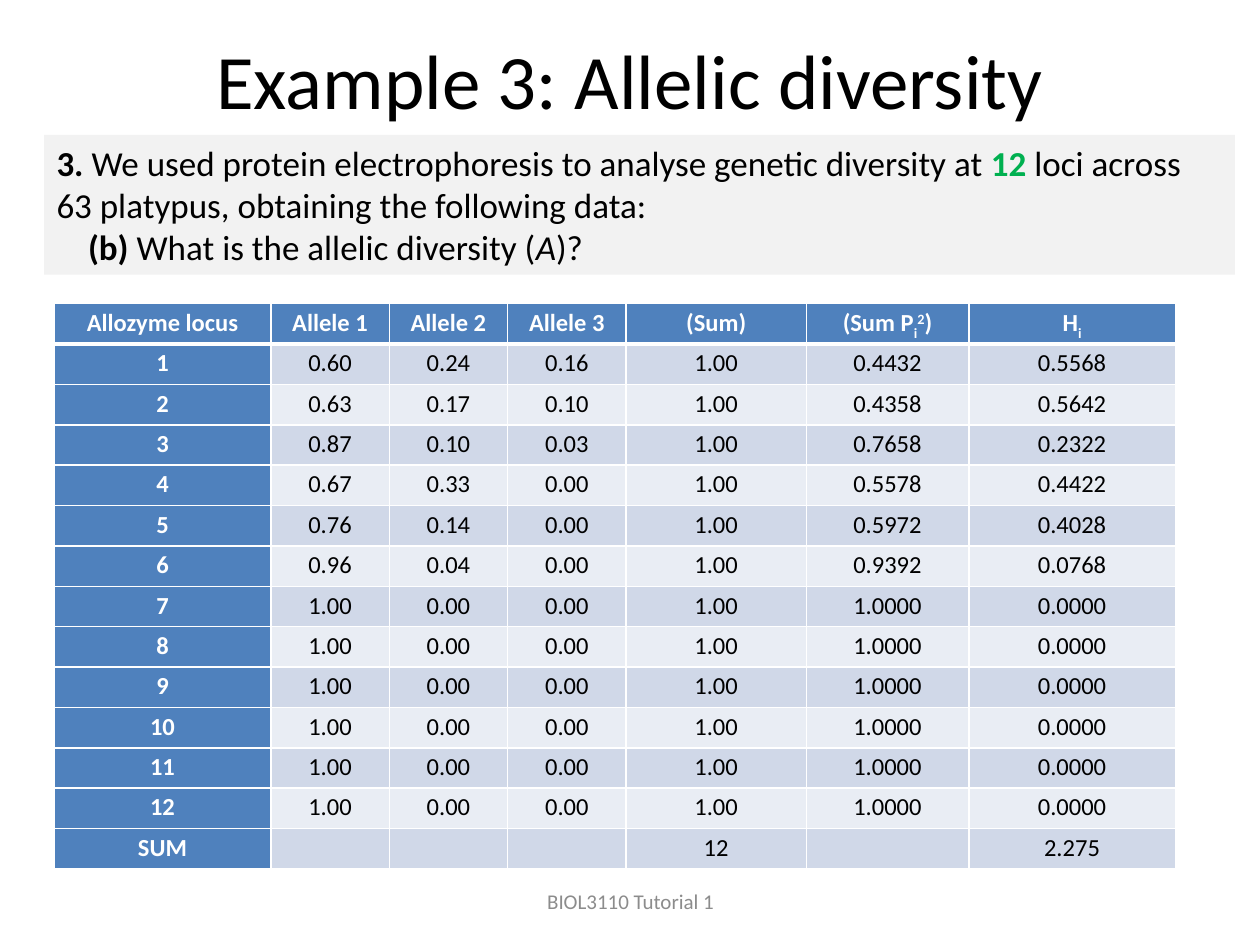
from dataclasses import dataclass

from lxml.etree import SubElement
from pptx import Presentation
from pptx.dml.color import RGBColor
from pptx.enum.shapes import MSO_SHAPE
from pptx.enum.text import MSO_ANCHOR, MSO_AUTO_SIZE, PP_ALIGN
from pptx.oxml.ns import qn
from pptx.util import Inches, Pt


@dataclass(frozen=True)
class Theme:
    font: str = "Calibri"
    black: str = "000000"
    white: str = "FFFFFF"
    green: str = "00B050"
    grey: str = "8C8C8C"
    panel: str = "F2F2F2"
    header: str = "4F81BD"
    bands: tuple[str, str] = ("D0D8E8", "E9EDF4")
    title_size: int = 44
    question_size: int = 20
    table_size: int = 14
    footer_size: int = 12
    border: int = 1
    header_border: int = 3


@dataclass(frozen=True)
class Run:
    text: str
    bold: bool | None = None
    italic: bool | None = None
    color: str | None = None
    baseline: int = 0  # thousandths of a percent


@dataclass(frozen=True)
class Box:
    left: float
    top: float
    width: float
    height: float

    def emu(self) -> tuple[int, ...]:
        return tuple(Inches(v) for v in (self.left, self.top, self.width, self.height))


THEME = Theme()
TITLE = Box(0.5, 0, 9, 1.25)
TABLE = Box(0.43, 2.41, 8.9, 4.49)
QUESTION = Box(0.35, 1.07, 9.45, 1.11)
FOOTER = Box(3.42, 6.95, 3.17, 0.4)
COLUMNS = (1.72, 0.94, 0.94, 0.94, 1.43, 1.29, 1.64)
HEADINGS = (
    "Allozyme locus", "Allele 1", "Allele 2", "Allele 3", "(Sum)",
    [Run("(Sum P"), Run("i", baseline=-25000), Run("2", baseline=30000), Run(")")],
    [Run("H"), Run("i", baseline=-25000)],
)
POLYMORPHIC_LOCI = (
    ("0.60", "0.24", "0.16", "1.00", "0.4432", "0.5568"),
    ("0.63", "0.17", "0.10", "1.00", "0.4358", "0.5642"),
    ("0.87", "0.10", "0.03", "1.00", "0.7658", "0.2322"),
    ("0.67", "0.33", "0.00", "1.00", "0.5578", "0.4422"),
    ("0.76", "0.14", "0.00", "1.00", "0.5972", "0.4028"),
    ("0.96", "0.04", "0.00", "1.00", "0.9392", "0.0768"),
)
FIXED_LOCUS = ("1.00", "0.00", "0.00", "1.00", "1.0000", "0.0000")
LOCI = POLYMORPHIC_LOCI + (FIXED_LOCUS,) * 6
ROWS = (
    HEADINGS,
    *((str(n), *values) for n, values in enumerate(LOCI, 1)),
    ("SUM", "", "", "", "12", "", "2.275"),
)


def write(p, content: str | list[Run], *, size: int, color: str = THEME.black,
          bold: bool = False, align: PP_ALIGN = PP_ALIGN.LEFT,
          spacing: float | None = None, indent: float = 0) -> None:
    """Fill a paragraph; each run may override the paragraph's format."""
    p.alignment = align
    if spacing:
        p.line_spacing = spacing
    if indent:
        p._p.get_or_add_pPr().set("indent", str(Inches(indent)))
    for part in [Run(content)] if isinstance(content, str) else content:
        r = p.add_run()
        r.text = part.text
        font = r.font
        font.name, font.size = THEME.font, Pt(size)
        font.bold = bold if part.bold is None else part.bold
        font.italic = part.italic
        font.color.rgb = RGBColor.from_string(part.color or color)
        if part.baseline:
            r._r.get_or_add_rPr().set("baseline", str(part.baseline))


def add_borders(cell, top: int, bottom: int) -> None:
    tc_pr = cell._tc.get_or_add_tcPr()
    widths = {"L": THEME.border, "R": THEME.border, "T": top, "B": bottom}
    for side, width in widths.items():
        ln = SubElement(tc_pr, qn(f"a:ln{side}"), w=str(Pt(width)))
        SubElement(SubElement(ln, qn("a:solidFill")), qn("a:srgbClr"), val=THEME.white)


def format_cell(cell, content: str | list[Run], row: int, col: int) -> None:
    is_header = row == 0 or col == 0
    cell.margin_left = cell.margin_right = Inches(0.07)
    cell.margin_top = cell.margin_bottom = 0
    add_borders(cell,
                top=THEME.header_border if row == 1 else THEME.border,
                bottom=THEME.header_border if row == 0 else THEME.border)
    cell.fill.solid()
    cell.fill.fore_color.rgb = RGBColor.from_string(
        THEME.header if is_header else THEME.bands[(row - 1) % 2])
    if content:
        write(cell.text_frame.paragraphs[0], content, size=THEME.table_size,
              color=THEME.white if is_header else THEME.black, bold=is_header,
              align=PP_ALIGN.CENTER, spacing=1.15)


def add_title(s) -> None:
    title = s.shapes.title
    title.left, title.top, title.width, title.height = TITLE.emu()
    title.text_frame.vertical_anchor = MSO_ANCHOR.MIDDLE
    write(title.text_frame.paragraphs[0], "Example 3: Allelic diversity",
          size=THEME.title_size, align=PP_ALIGN.CENTER)


def add_allele_table(s) -> None:
    table = s.shapes.add_table(len(ROWS), len(COLUMNS), *TABLE.emu()).table
    for column, width in zip(table.columns, COLUMNS):
        column.width = Inches(width)
    for i, values in enumerate(ROWS):
        table.rows[i].height = Inches(TABLE.height / len(ROWS))
        for j, content in enumerate(values):
            format_cell(table.cell(i, j), content, i, j)


def add_question(s) -> None:
    sp = s.shapes.add_shape(MSO_SHAPE.RECTANGLE, *QUESTION.emu())
    sp.shadow.inherit = False
    sp.fill.solid()
    sp.fill.fore_color.rgb = RGBColor.from_string(THEME.panel)
    sp.line.fill.background()
    tf = sp.text_frame
    tf.word_wrap = True
    tf.auto_size = MSO_AUTO_SIZE.SHAPE_TO_FIT_TEXT
    tf.vertical_anchor = MSO_ANCHOR.MIDDLE
    write(tf.paragraphs[0], [
        Run("3.", bold=True),
        Run(" We used protein electrophoresis to analyse genetic diversity at "),
        Run("12", bold=True, color=THEME.green),
        Run(" loci across 63 platypus, obtaining the following data:"),
    ], size=THEME.question_size)
    write(tf.add_paragraph(), [
        Run("(b)", bold=True), Run(" What is the allelic diversity ("),
        Run("A", italic=True), Run(")?"),
    ], size=THEME.question_size, indent=0.25)


def add_footer(s) -> None:
    tf = s.shapes.add_textbox(*FOOTER.emu()).text_frame
    tf.word_wrap = True
    tf.vertical_anchor = MSO_ANCHOR.MIDDLE
    write(tf.paragraphs[0], "BIOL3110 Tutorial 1", size=THEME.footer_size,
          color=THEME.grey, align=PP_ALIGN.CENTER)


def main() -> None:
    prs = Presentation()
    prs.slide_width, prs.slide_height = Inches(10), Inches(7.5)
    s = prs.slides.add_slide(prs.slide_layouts.get_by_name("Title Only"))
    add_title(s)
    add_allele_table(s)
    add_question(s)
    add_footer(s)
    prs.save("out.pptx")


if __name__ == "__main__":
    main()
